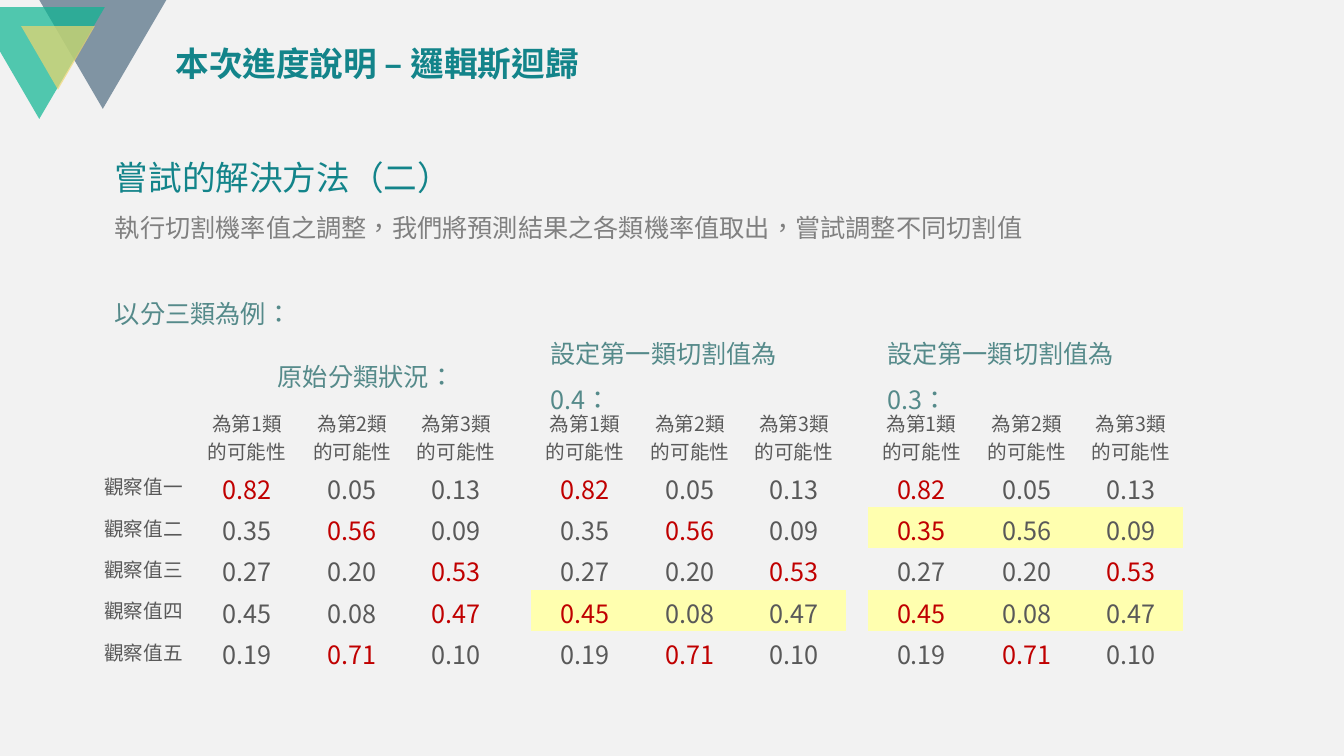
from pptx import Presentation
from pptx.dml.color import RGBColor
from pptx.enum.lang import MSO_LANGUAGE_ID
from pptx.enum.shapes import MSO_SHAPE
from pptx.enum.text import MSO_ANCHOR, MSO_AUTO_SIZE, PP_ALIGN
from pptx.oxml.ns import qn
from pptx.util import Inches, Pt
from lxml.etree import SubElement

BACKGROUND = RGBColor(0xF2, 0xF2, 0xF2)
TEAL = RGBColor(0x13, 0x84, 0x8A)
SOFT_TEAL = RGBColor(0x55, 0x8A, 0x8A)
GREY = RGBColor(0x80, 0x80, 0x80)
DARK_GREY = RGBColor(0x59, 0x59, 0x59)
RED = RGBColor(0xC0, 0x00, 0x00)
PALE_YELLOW = RGBColor(0xFF, 0xFF, 0xAF)
SLATE = RGBColor(0x51, 0x6D, 0x82)
GREEN = RGBColor(0x0C, 0xB6, 0x92)
GOLD = RGBColor(0xEE, 0xD6, 0x6F)

LATIN = "Arial"
CJK = "Noto Sans CJK SC"
NO_STYLE_NO_GRID = "{2D5ABB26-0587-4C30-8999-92F81FD0307C}"

HEADERS = [f"為第{n}類\n的可能性" for n in (1, 2, 3)]
OBSERVATIONS = ["觀察值一", "觀察值二", "觀察值三", "觀察值四", "觀察值五"]
PROBABILITIES = [
    (0.82, 0.05, 0.13),
    (0.35, 0.56, 0.09),
    (0.27, 0.20, 0.53),
    (0.45, 0.08, 0.47),
    (0.19, 0.71, 0.10),
]
LABEL_WIDTH = 0.99
CLASS_WIDTHS = [1.06, 1.03, 1.03]
HEADER_HEIGHT, ROW_HEIGHT = 0.57, 0.41
TABLE_TOP = 4.05


def format_runs(p, size, color, font, bold=False):
    for r in p.runs:
        r.font.size = Pt(size)
        r.font.bold = bold
        r.font.name = font
        r.font.color.rgb = color
        r.font.language_id = MSO_LANGUAGE_ID.TRADITIONAL_CHINESE
        if font == CJK:
            SubElement(r.font._element, qn("a:ea")).set("typeface", font)


def fill_text(shape, lines, font, align=PP_ALIGN.LEFT, bold=False):
    """Each line is (text, size, color)."""
    tf = shape.text_frame
    tf.word_wrap = True
    tf.auto_size = MSO_AUTO_SIZE.SHAPE_TO_FIT_TEXT
    tf.vertical_anchor = MSO_ANCHOR.MIDDLE
    tf.text = "\n".join(text for text, _, _ in lines)
    for p, (_, size, color) in zip(tf.paragraphs, lines):
        p.alignment = align
        p.line_spacing = 1.5
        format_runs(p, size, color, font, bold)


def add_text(s, left, top, width, height, lines, font, align=PP_ALIGN.LEFT):
    box = s.shapes.add_textbox(Inches(left), Inches(top), Inches(width), Inches(height))
    fill_text(box, lines, font, align)


def paint(shape, color):
    shape.shadow.inherit = False
    shape.line.fill.background()
    shape.fill.solid()
    shape.fill.fore_color.rgb = color
    clr = shape.fill._xPr.find(qn("a:solidFill"))[0]
    SubElement(clr, qn("a:alpha")).set("val", "70000")


def add_polygon(s, points, color):
    (x, y), *rest = [(Inches(px), Inches(py)) for px, py in points]
    builder = s.shapes.build_freeform(x, y)
    builder.add_line_segments(rest, close=True)
    paint(builder.convert_to_shape(), color)


def clear_borders(cell):
    """Borders come before the fill in the cell properties."""
    tc_pr = cell._tc.get_or_add_tcPr()
    for side in ("a:lnL", "a:lnR", "a:lnT", "a:lnB"):
        SubElement(SubElement(tc_pr, qn(side), w="0"), qn("a:noFill"))


def fill_cell(cell, text, size=14, color=DARK_GREY, highlighted=False, margin_top=0):
    cell.margin_top, cell.margin_bottom = Inches(margin_top), 0
    cell.vertical_anchor = MSO_ANCHOR.MIDDLE
    clear_borders(cell)
    if highlighted:
        cell.fill.solid()
        cell.fill.fore_color.rgb = PALE_YELLOW
    else:
        cell.fill.background()
    cell.text_frame.text = text
    for p in cell.text_frame.paragraphs:
        p.alignment = PP_ALIGN.CENTER
        format_runs(p, size, color, CJK)


def add_probability_table(s, left, cutoff=None, labelled=False):
    """A cutoff moves every row whose first class reaches it to that class."""
    widths = [LABEL_WIDTH] * labelled + CLASS_WIDTHS
    rows = len(PROBABILITIES) + 1
    height = HEADER_HEIGHT + ROW_HEIGHT * len(PROBABILITIES)
    frame = s.shapes.add_table(rows, len(widths), Inches(left), Inches(TABLE_TOP),
                               Inches(sum(widths)), Inches(height))
    table = frame.table
    table.first_row = table.horz_banding = False
    table._tbl.tblPr.find(qn("a:tableStyleId")).text = NO_STYLE_NO_GRID
    for column, width in zip(table.columns, widths):
        column.width = Inches(width)
    for i, row in enumerate(table.rows):
        row.height = Inches(ROW_HEIGHT if i else HEADER_HEIGHT)

    # Header row and observation labels
    first = int(labelled)
    for j, header in enumerate(HEADERS):
        fill_cell(table.cell(0, first + j), header)
    if labelled:
        for i, label in enumerate([""] + OBSERVATIONS):
            fill_cell(table.cell(i, 0), label)

    # Probabilities, with the chosen class in red
    for i, values in enumerate(PROBABILITIES, 1):
        likeliest = values.index(max(values))
        chosen = 0 if cutoff and values[0] >= cutoff else likeliest
        for j, value in enumerate(values):
            fill_cell(table.cell(i, first + j), f"{value:.2f}", 18,
                      RED if j == chosen else DARK_GREY, chosen != likeliest, 0.04)


def main():
    prs = Presentation()
    prs.slide_width, prs.slide_height = Inches(13.33), Inches(7.5)
    s = prs.slides.add_slide(prs.slide_layouts[5])
    s.background.fill.solid()
    s.background.fill.fore_color.rgb = BACKGROUND

    # Corner triangles
    add_polygon(s, [(1.65, 0), (0.39, 0), (1.02, 1.08)], SLATE)
    add_polygon(s, [(1.04, 0.07), (0, 0.07), (0, 0.51), (0.39, 1.18)], GREEN)
    gold = s.shapes.add_shape(MSO_SHAPE.ISOSCELES_TRIANGLE, Inches(0.21), Inches(0.26),
                              Inches(0.73), Inches(0.63))
    gold.rotation = 180
    paint(gold, GOLD)

    # Title
    title = s.shapes.title
    title.left, title.top = Inches(1.64), Inches(0.21)
    title.width, title.height = Inches(5.91), Inches(0.63)
    fill_text(title, [("本次進度說明 – 邏輯斯迴歸", 24, TEAL)], LATIN, bold=True)

    # Introduction
    add_text(s, 1.04, 1.33, 10.19, 1.11, [
        ("嘗試的解決方法（二）", 24, TEAL),
        ("執行切割機率值之調整，我們將預測結果之各類機率值取出，嘗試調整不同切割值", 18, GREY),
    ], LATIN)
    add_text(s, 1.04, 2.78, 10.19, 0.5, [("以分三類為例：", 18, SOFT_TEAL)], LATIN)

    # Original classification
    add_probability_table(s, 0.93, labelled=True)
    add_text(s, 2.12, 3.41, 3.02, 0.5, [("原始分類狀況：", 18, SOFT_TEAL)], CJK, PP_ALIGN.CENTER)

    # Classification with a lower cutoff for the first class, headings in front
    for left, cutoff in ((5.27, 0.4), (8.61, 0.3)):
        add_probability_table(s, left, cutoff)
        add_text(s, left + 0.09, 3.41, 3.02, 0.5,
                 [(f"設定第一類切割值為{cutoff}：", 18, SOFT_TEAL)], CJK)

    prs.save("out.pptx")


if __name__ == "__main__":
    main()
